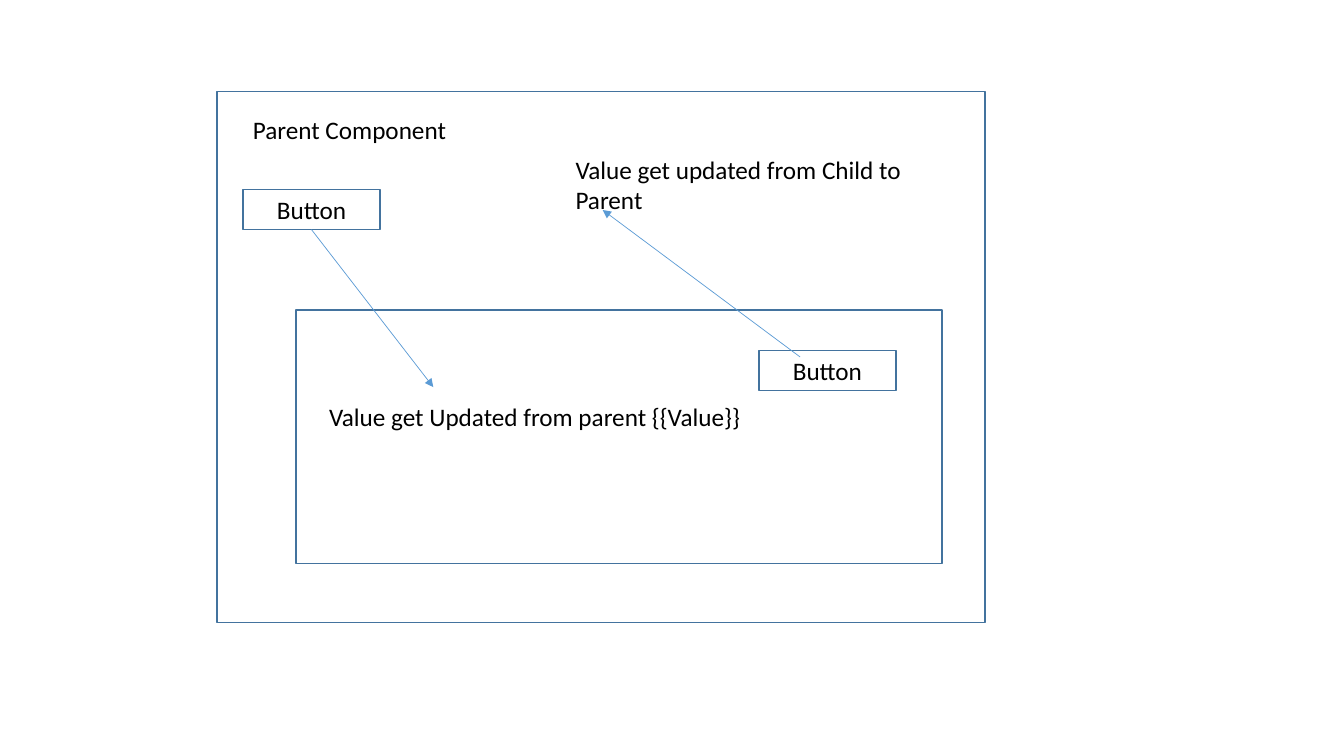
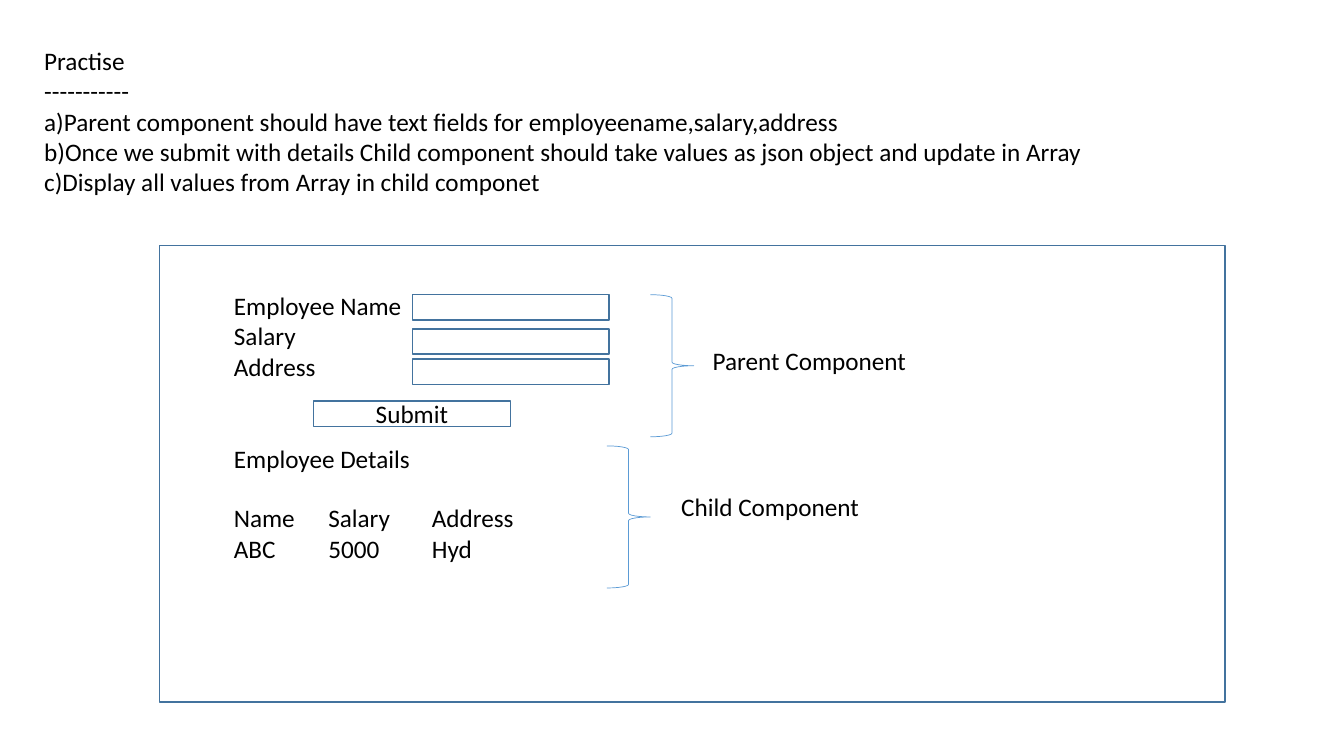
from lxml.etree import SubElement
from pptx import Presentation
from pptx.dml.color import RGBColor
from pptx.enum.shapes import MSO_CONNECTOR as Connector, MSO_SHAPE as Shape
from pptx.enum.text import MSO_ANCHOR as Anchor, PP_ALIGN as Align
from pptx.oxml.ns import qn
from pptx.util import Pt

# Shared look
WHITE = RGBColor(0xFF, 0xFF, 0xFF)
BLACK = RGBColor(0x00, 0x00, 0x00)
OUTLINE = RGBColor(0x43, 0x73, 0x9E)
ACCENT = RGBColor(0x5B, 0x9B, 0xD5)
FONT = {"name": "Calibri", "size": Pt(18)}
BOX_LINE, THIN_LINE = 1, 0.5
LINE_HEIGHT = 22
PLAIN_TABLE = "{2D5ABB26-0587-4C30-8999-92F81FD0307C}"


def write(frame, lines, align=Align.LEFT):
    """Put one paragraph per line in a text frame."""
    for index, text in enumerate(lines):
        para = frame.paragraphs[0] if index == 0 else frame.add_paragraph()
        para.alignment = align
        span = para.add_run()
        span.text = text
        for name, value in FONT.items():
            setattr(span.font, name, value)
        span.font.color.rgb = BLACK


def set_line(item, color, width):
    item.line.color.rgb = color
    item.line.width = Pt(width)


def set_margins(target, margin=0):
    for side in ("left", "top", "right", "bottom"):
        setattr(target, f"margin_{side}", Pt(margin))


def add_label(page, left, top, width, height, *lines):
    label = page.shapes.add_textbox(Pt(left), Pt(top), Pt(width), Pt(height))
    label.text_frame.word_wrap = True
    write(label.text_frame, lines)
    return label


def add_box(page, left, top, width, height, text=None):
    box = page.shapes.add_shape(
        Shape.RECTANGLE, Pt(left), Pt(top), Pt(width), Pt(height))
    box.shadow.inherit = False
    box.fill.solid()
    box.fill.fore_color.rgb = WHITE
    set_line(box, OUTLINE, BOX_LINE)
    if text:
        set_margins(box.text_frame)
        box.text_frame.vertical_anchor = Anchor.MIDDLE
        write(box.text_frame, [text], Align.CENTER)
    return box


def add_brace(page, left, top, width, height):
    brace = page.shapes.add_shape(
        Shape.RIGHT_BRACE, Pt(left), Pt(top), Pt(width), Pt(height))
    brace.shadow.inherit = False
    brace.fill.background()
    set_line(brace, ACCENT, THIN_LINE)


def add_arrow(page, start, end):
    arrow = page.shapes.add_connector(
        Connector.STRAIGHT, *(Pt(value) for value in (*start, *end)))
    set_line(arrow, ACCENT, THIN_LINE)
    SubElement(arrow.line._get_or_add_ln(), qn("a:tailEnd"), type="triangle")
    SubElement(arrow._element.spPr, qn("a:effectLst"))
    return arrow


def add_plain_table(page, left, top, widths, rows):
    """Add a table without borders, fills or cell margins."""
    frame = page.shapes.add_table(
        len(rows), len(widths), Pt(left), Pt(top),
        Pt(sum(widths)), Pt(LINE_HEIGHT * len(rows)))
    table = frame.table
    table.first_row = table.horz_banding = False
    table._tbl.tblPr.find(qn("a:tableStyleId")).text = PLAIN_TABLE
    for column, width in zip(table.columns, widths):
        column.width = Pt(width)
    for row, values in zip(table.rows, rows):
        row.height = Pt(LINE_HEIGHT)
        for cell, value in zip(row.cells, values):
            cell.fill.background()
            set_margins(cell)
            write(cell.text_frame, [value])


def build_data_flow(page):
    # Parent and child components
    add_box(page, 155, 65.5, 548.5, 379)
    add_box(page, 211.5, 221.5, 461.5, 181)
    add_label(page, 173.5, 78, 256, 29, "Parent Component")

    # Parent to child
    parent_button = add_box(page, 173.5, 135.5, 98, 28.5, "Button")
    arrow = add_arrow(page, (222.5, 164), (309.5, 276.5))
    arrow.begin_connect(parent_button, 2)
    add_label(page, 228, 283, 327, 29, "Value get Updated from parent {{Value}}")

    # Child to parent
    add_box(page, 542, 250.5, 98, 28.5, "Button")
    add_arrow(page, (571.5, 255), (430.5, 150))
    add_label(page, 404, 106.5, 258.5, 51, "Value get updated from Child to Parent")


def build_practice(page):
    # Task
    add_label(
        page, 24.5, 29, 831, 117,
        "Practise",
        "-----------",
        "a)Parent component should have text fields for employeename,salary,address",
        "b)Once we submit with details Child component should take values "
        "as json object and update in Array",
        "c)Display all values from Array in child componet")
    add_box(page, 114, 175.5, 761, 326)

    # Form
    form = add_label(page, 160, 204, 281, 160, "Employee Name", "Salary",
                     "Address", "Employee Details")
    form.text_frame.paragraphs[-1].space_before = Pt(2 * LINE_HEIGHT)
    field_width, field_height = 140.5, 18
    for top in (210.5, 235, 256.5):
        add_box(page, 294.5, top, field_width, field_height)
    add_box(page, 224, 286.5, field_width, field_height, "Submit")

    # Employee details
    add_plain_table(page, 167, 359.5, (67.5, 74, 80),
                    [("Name", "Salary", "Address"), ("ABC", "5000", "Hyd")])

    # Component braces
    for brace_left, brace_top, label_left, label_top, text in (
            (464.5, 210.5, 502, 243, "Parent Component"),
            (433.5, 318.5, 479.5, 347.5, "Child Component")):
        add_brace(page, brace_left, brace_top, 31, 101.5)
        add_label(page, label_left, label_top, 264, 29, text)


def main():
    deck = Presentation()
    deck.slide_width, deck.slide_height = Pt(960), Pt(540)
    blank = deck.slide_layouts[6]
    for build in (build_data_flow, build_practice):
        build(deck.slides.add_slide(blank))
    deck.save("out.pptx")


if __name__ == "__main__":
    main()
